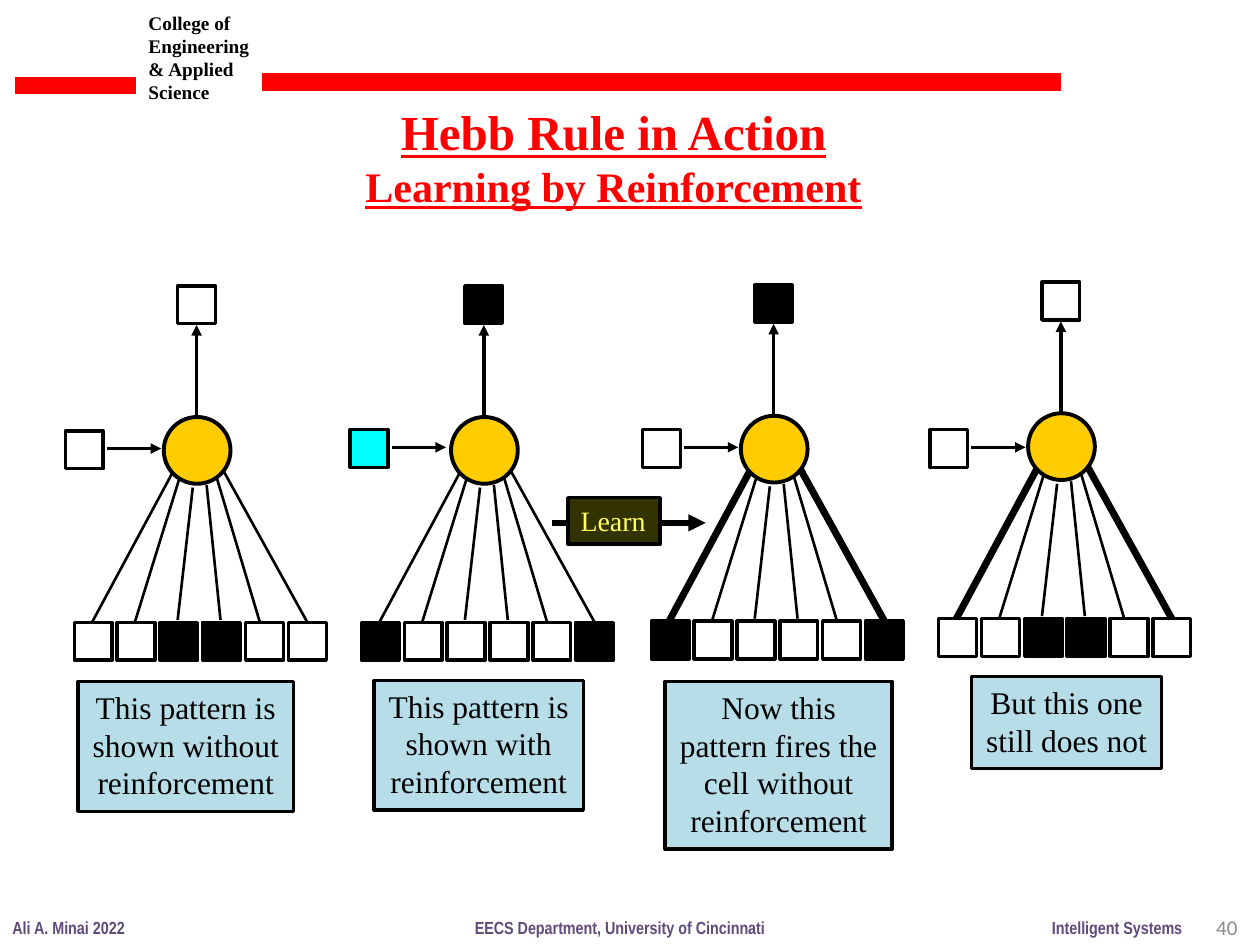
from pptx import Presentation
from pptx.dml.color import RGBColor as RGB
from pptx.enum.shapes import MSO_CONNECTOR as Link, MSO_SHAPE as Kind
from pptx.enum.text import MSO_ANCHOR as Anchor, PP_ALIGN as Align
from pptx.oxml.ns import qn
from pptx.util import Pt
from lxml.etree import SubElement as Sub

PX = 9144
HUE = {"ink": "000000", "red": "FF0000", "gold": "FFCC00", "cyan": "00FFFF",
       "pale": "B7DEE8", "olive": "333300", "lemon": "FFFF66",
       "plum": "604A7B", "gray": "8C8C8C"}
SERIF = "Times New Roman"

deck = Presentation()
deck.slide_width, deck.slide_height = 1000 * PX, 750 * PX
slide = deck.slides.add_slide(deck.slide_layouts[6])
shapes = slide.shapes


def draw(x1, y1, x2, y2, width, hue="ink", arrow=False):
    line = shapes.add_connector(Link.STRAIGHT, x1 * PX, y1 * PX, x2 * PX, y2 * PX)
    line.line.color.rgb = RGB.from_string(HUE[hue])
    line.line.width = Pt(width)
    if arrow:
        Sub(line.line._get_or_add_ln(), qn("a:tailEnd"), type="triangle")
    Sub(line._element.spPr, qn("a:effectLst"))


def place(x, y, w, h, rows=(), fill=None, kind=None, edge=2, size=18, font=SERIF,
          hue="ink", align=Align.LEFT, bold=False, under=None, wrap=False,
          anchor=Anchor.TOP):
    area = x * PX, y * PX, w * PX, h * PX
    if kind is None:
        item = shapes.add_textbox(*area)
    else:
        item = shapes.add_shape(kind, *area)
        item.shadow.inherit = False
        item.line.color.rgb = RGB.from_string(HUE["ink"])
        item.line.width = Pt(edge)
        if fill:
            item.fill.solid()
            item.fill.fore_color.rgb = RGB.from_string(HUE[fill])
        else:
            item.fill.background()
    frame = item.text_frame
    frame.word_wrap = wrap
    frame.vertical_anchor = anchor
    for i, row in enumerate(rows):
        par = frame.paragraphs[0] if i == 0 else frame.add_paragraph()
        par.text = row
        par.alignment = align
        face = par.font
        face.name, face.size, face.bold, face.underline = font, Pt(size), bold, under
        face.color.rgb = RGB.from_string(HUE[hue])
    return frame


place(108, 4, 109, 84, ["College of Engineering & Applied", "Science"],
      size=11, bold=True, wrap=True)
draw(12, 68, 108, 68, 10, "red")
draw(208, 65, 842, 65, 10, "red")
for x, w, text in [(0, 110, "Ali A. Minai 2022"),
                   (825, 124, "Intelligent Systems"),
                   (367, 252, "EECS Department, University of Cincinnati")]:
    place(x, 723, w, 27, [text], size=10, font="Arial Narrow", hue="plum", bold=True)
place(759, 716, 233, 40, ["40"], size=12, font="Calibri", hue="gray",
      align=Align.RIGHT, wrap=True, anchor=Anchor.MIDDLE)

title = place(280, 76, 414, 97, ["Hebb Rule in Action", "Learning by Reinforcement"],
              size=28, hue="red", align=Align.CENTER, bold=True, under=True)
title.paragraphs[1].font.size = Pt(24)

draw(438, 415, 560, 415, 3.25, arrow=True)

WIRES = [(-57, 163, 7, 44), (-23, 163, 12, 50), (11, 161, 23, 56),
         (45, 161, 34, 54), (76, 162, 42, 48), (114, 163, 47, 42)]
CELLS = [
    (130, 331, "001100", False, 52, 342, None, 1.5),
    (358, 331, "100001", True, 278, 341, "cyan", 1.5),
    (588, 330, "100001", True, 510, 341, None, 4),
    (816, 328, "001100", False, 738, 341, None, 4),
]
for x, y, bits, fires, left, top, cue, thick in CELLS:
    for i, bit in enumerate(bits):
        place(x - 71 + 34 * i, y + 163, 30, 30, kind=Kind.RECTANGLE,
              fill="ink" if bit == "1" else None)
    for i, (x1, y1, x2, y2) in enumerate(WIRES):
        draw(x + x1, y + y1, x + x2, y + y2, thick if i in (0, 5) else 1.5)
    draw(x + 26, y + 1, x + 26, y - 73, 2, arrow=True)
    place(x + 11, y - 104, 30, 30, kind=Kind.RECTANGLE, fill="ink" if fires else None)
    draw(left + 33, top + 14, left + 76, top + 14, 2, arrow=True)
    place(left, top, 30, 30, kind=Kind.RECTANGLE, fill=cue)
    place(x, y, 53, 53, kind=Kind.OVAL, fill="gold", edge=2.25)

NOTES = [
    (62, 541, 171, 103, ["This pattern is", "shown without", "reinforcement"]),
    (297, 540, 166, 103, ["This pattern is", "shown with", "reinforcement"]),
    (528, 541, 180, 133, ["Now this", "pattern fires the", "cell without",
                          "reinforcement"]),
    (771, 537, 151, 73, ["But this one", "still does not"]),
]
for x, y, w, h, rows in NOTES:
    place(x, y, w, h, rows, "pale", Kind.RECTANGLE, align=Align.CENTER)
place(451, 395, 73, 37, ["Learn"], "olive", Kind.RECTANGLE, size=16, hue="lemon")

deck.save("out.pptx")
